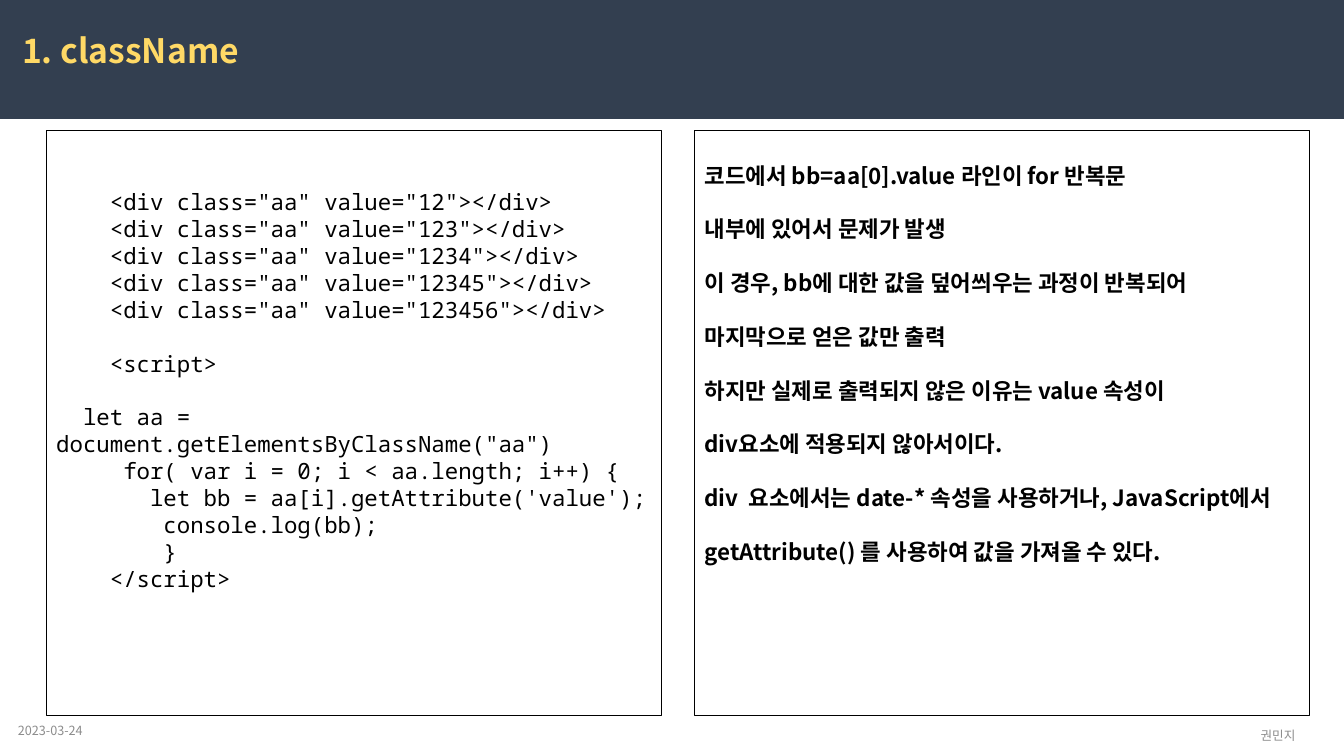
from dataclasses import dataclass

from lxml.etree import SubElement
from pptx import Presentation
from pptx.dml.color import RGBColor
from pptx.enum.shapes import MSO_SHAPE
from pptx.enum.text import MSO_ANCHOR, MSO_AUTO_SIZE, PP_ALIGN
from pptx.oxml.ns import qn
from pptx.util import Inches, Pt


@dataclass(frozen=True)
class Theme:
    navy: str = "333F50"
    gold: str = "FFD966"
    grey: str = "8C8C8C"
    black: str = "000000"
    title_size: int = 24
    body_size: int = 16
    footer_size: int = 9
    body_font: str = "Noto Sans CJK KR"
    code_font: str = "Noto Sans Mono"


MARKUP = """\
    <div class="aa" value="12"></div>
    <div class="aa" value="123"></div>
    <div class="aa" value="1234"></div>
    <div class="aa" value="12345"></div>
    <div class="aa" value="123456"></div>"""

SCRIPT_TAG = "    <script>"

SCRIPT_BODY = """\
  let aa = document.getElementsByClassName("aa")
     for( var i = 0; i < aa.length; i++) {
       let bb = aa[i].getAttribute('value');
        console.log(bb);
        }
    </script>"""

EXPLANATION = """\
코드에서 bb=aa[0].value 라인이 for 반복문
내부에 있어서 문제가 발생
이 경우, bb에 대한 값을 덮어씌우는 과정이 반복되어
마지막으로 얻은 값만 출력
하지만 실제로 출력되지 않은 이유는 value 속성이
div요소에 적용되지 않아서이다.
div  요소에서는 date-* 속성을 사용하거나, JavaScript에서 getAttribute() 를 사용하여 값을 가져올 수 있다."""


def write(frame, blocks, *, size, color, font, bold=False, align=PP_ALIGN.LEFT,
          anchor=MSO_ANCHOR.TOP, line_spacing=1.0, block_gap=0, top_inset=0.05):
    """Write blocks of lines, one paragraph a line, with a gap between blocks."""
    frame.word_wrap = True
    frame.auto_size = MSO_AUTO_SIZE.NONE
    frame.vertical_anchor = anchor
    frame.margin_left = frame.margin_right = Inches(0.1)
    frame.margin_top, frame.margin_bottom = Inches(top_inset), Inches(0.05)
    paragraph = None
    for block in blocks:
        for index, line in enumerate(block.splitlines()):
            first = paragraph is None
            paragraph = frame.paragraphs[0] if first else frame.add_paragraph()
            paragraph.alignment = align
            paragraph.line_spacing = line_spacing
            paragraph.space_before = Pt(0 if first or index else block_gap)
            run = paragraph.add_run()
            run.text = line
            run.font.size = Pt(size)
            run.font.bold = bold
            run.font.color.rgb = RGBColor.from_string(color)
            run.font.name = font
            east_asian = SubElement(run.font._element, qn("a:ea"))
            east_asian.set("typeface", font)


class SlideBuilder:
    def __init__(self, slide, theme):
        self.slide = slide
        self.theme = theme

    def rectangle(self, left, top, width, height, fill=None, line=None):
        rectangle = self.slide.shapes.add_shape(
            MSO_SHAPE.RECTANGLE, Inches(left), Inches(top), Inches(width), Inches(height))
        rectangle.shadow.inherit = False
        if fill:
            rectangle.fill.solid()
            rectangle.fill.fore_color.rgb = RGBColor.from_string(fill)
        else:
            rectangle.fill.background()
        if line:
            rectangle.line.color.rgb = RGBColor.from_string(line)
            rectangle.line.width = Pt(0.75)
        else:
            rectangle.line.fill.background()
        return rectangle

    def header(self, text):
        title = self.slide.shapes.title
        title.left, title.top = Inches(0.12), Inches(0.25)
        title.width, title.height = Inches(13.11), Inches(0.5)
        write(title.text_frame, [text], size=self.theme.title_size,
              color=self.theme.gold, font=self.theme.body_font, bold=True)
        # The band lies behind the title
        band = self.rectangle(0, 0, 13.33, 1.18, fill=self.theme.navy)
        title.element.addprevious(band.element)

    def panel(self, left, blocks, **text_format):
        panel = self.rectangle(left, 1.29, 6.1, 5.81, line=self.theme.black)
        write(panel.text_frame, blocks, size=self.theme.body_size,
              color=self.theme.black, **text_format)

    def footer(self, text, left, top, width, align=PP_ALIGN.LEFT):
        footer = self.slide.shapes.add_textbox(
            Inches(left), Inches(top), Inches(width), Inches(0.4))
        write(footer.text_frame, [text], size=self.theme.footer_size,
              color=self.theme.grey, font=self.theme.body_font,
              align=align, anchor=MSO_ANCHOR.MIDDLE)


def main():
    theme = Theme()
    presentation = Presentation()
    presentation.slide_width = Inches(13.33)
    presentation.slide_height = Inches(7.5)
    title_only = presentation.slide_layouts[5]
    builder = SlideBuilder(presentation.slides.add_slide(title_only), theme)

    # Header
    builder.header("1. className")

    # Footer: date and author
    builder.footer("2023-03-24", 0.08, 7.05, 3)
    builder.footer("권민지", 12.03, 7.1, 1.29, align=PP_ALIGN.CENTER)

    # Code on the left, explanation on the right
    builder.panel(0.46, [MARKUP, SCRIPT_TAG, SCRIPT_BODY], font=theme.code_font,
                  block_gap=19.2, top_inset=0.58)
    builder.panel(6.89, [EXPLANATION], font=theme.body_font, bold=True, line_spacing=2.0)

    presentation.save("out.pptx")


if __name__ == "__main__":
    main()
